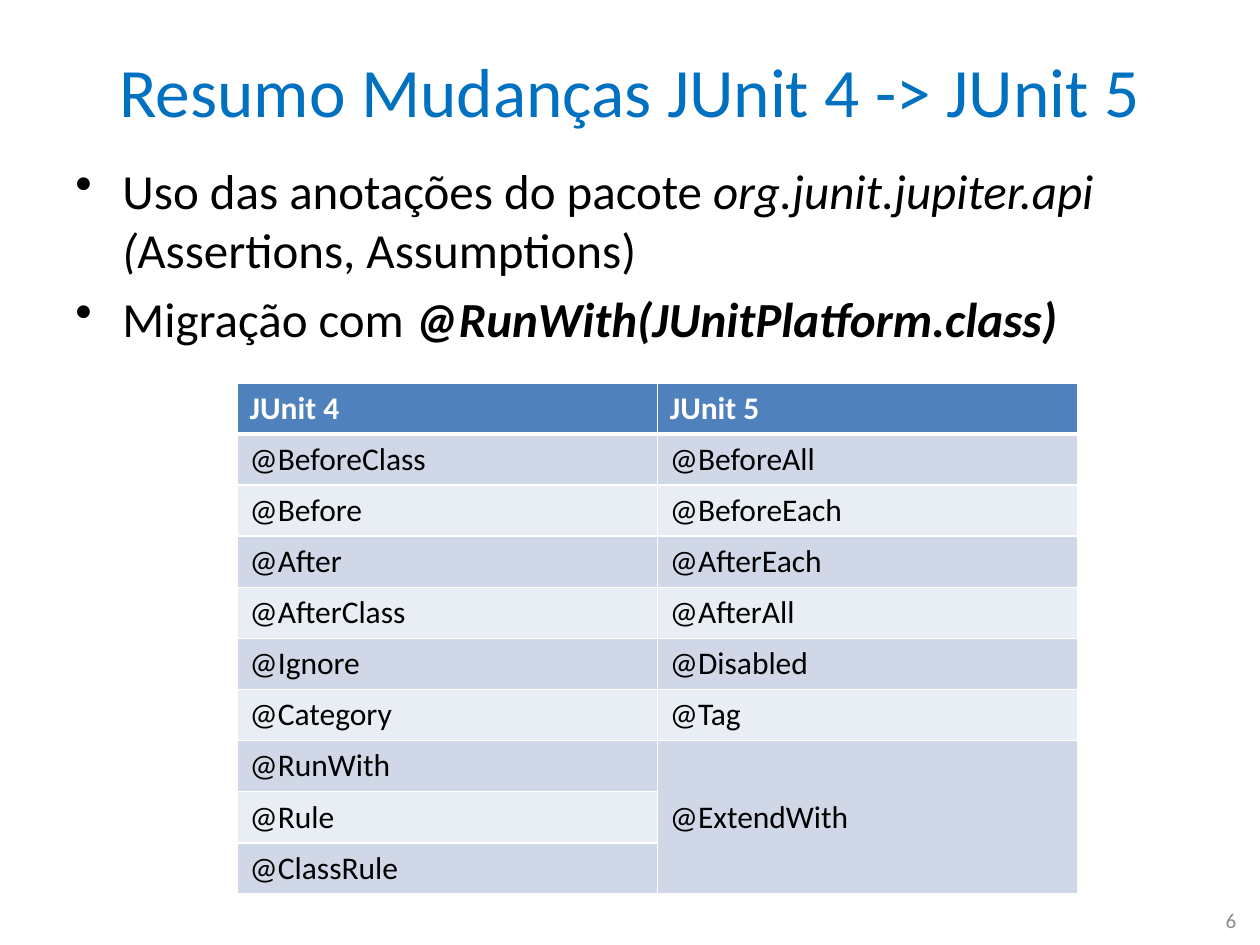
import lxml.etree
import pptx
import pptx.dml.color
import pptx.enum.text
import pptx.oxml.ns
import pptx.util

Cm, Pt = pptx.util.Cm, pptx.util.Pt
ALIGN = pptx.enum.text.PP_ALIGN
ANCHOR = pptx.enum.text.MSO_ANCHOR
qn = pptx.oxml.ns.qn


def rgb(value):
    return pptx.dml.color.RGBColor.from_string(value)


class SlideBuilder:
    """Holds the style and the current slide, and adds elements to it."""

    FONT = "Calibri"
    BLACK, WHITE, BLUE, GREY = "000000", "FFFFFF", "0070C0", "8C8C8C"
    HEADER, BANDS = "4F81BD", ("E9EDF4", "D0D8E8")

    def __init__(self, prs):
        self.s = prs.slides.add_slide(prs.slide_layouts[6])

    def style(self, p, size, color, bold=None):
        p.font.name = self.FONT
        p.font.size = Pt(size)
        p.font.color.rgb = rgb(color)
        p.font.bold = bold

    def box(self, x, y, w, h, anchor):
        tf = self.s.shapes.add_textbox(Cm(x), Cm(y), Cm(w), Cm(h)).text_frame
        tf.word_wrap = True
        tf.vertical_anchor = anchor
        return tf

    def text(self, text, x, y, w, h, size, color, align):
        p = self.box(x, y, w, h, ANCHOR.MIDDLE).paragraphs[0]
        p.text = text
        p.alignment = align
        self.style(p, size, color)

    def bullets(self, items, x, y, w, h, size, indent):
        tf = self.box(x, y, w, h, ANCHOR.TOP)
        for i, runs in enumerate(items):
            p = tf.add_paragraph() if i else tf.paragraphs[0]
            p.space_before = Pt(size * 0.2)
            self.style(p, size, self.BLACK)
            pPr = p._p.get_or_add_pPr()
            pPr.set("marL", str(Cm(indent)))
            pPr.set("indent", str(-Cm(indent)))
            bullet = lxml.etree.Element(qn("a:buChar"), char="•")
            pPr.find(qn("a:defRPr")).addprevious(bullet)
            for text, bold, italic in runs:
                r = p.add_run()
                r.text = text
                r.font.bold = bold
                r.font.italic = italic

    def borders(self, cell, widths):
        tcPr = cell._tc.get_or_add_tcPr()
        for side, width in zip("LRTB", widths):
            ln = lxml.etree.SubElement(tcPr, qn(f"a:ln{side}"), w=str(Pt(width)))
            fill = lxml.etree.SubElement(ln, qn("a:solidFill"))
            lxml.etree.SubElement(fill, qn("a:srgbClr"), val=self.WHITE)

    def table(self, rows, x, y, col_width, row_height, size):
        n, m = len(rows), len(rows[0])
        table = self.s.shapes.add_table(
            n, m, Cm(x), Cm(y), Cm(col_width * m), Cm(row_height * n)).table
        for i, row in enumerate(rows):
            table.rows[i].height = Cm(row_height)
            for j, text in enumerate(row):
                cell = table.cell(i, j)
                self.borders(cell, (1, 1, 3 if i == 1 else 1, 3 if i == 0 else 1))
                cell.fill.solid()
                cell.fill.fore_color.rgb = rgb(self.BANDS[i % 2] if i else self.HEADER)
                p = cell.text_frame.paragraphs[0]
                p.text = text
                self.style(p, size, self.BLACK if i else self.WHITE, i == 0)
        return table


prs = pptx.Presentation()
prs.slide_width, prs.slide_height = Cm(25.4), Cm(19.05)
slide = SlideBuilder(prs)

slide.text("6", 19.25, 18.03, 5.92, 1.02, 12, slide.GREY, ALIGN.RIGHT)
slide.text("Resumo Mudanças JUnit 4 -> JUnit 5", 1.27, 0.64, 22.86, 2.34,
           39.6, slide.BLUE, ALIGN.CENTER)
slide.bullets([
    [("Uso das anotações do pacote ", False, False),
     ("org.junit.jupiter.api (", False, True),
     ("Assertions, Assumptions)", False, False)],
    [("Migração com ", False, False),
     ("@RunWith(JUnitPlatform.class)", True, True)],
], 1.27, 3.12, 22.86, 15.14, 28, 0.95)

annotations = [
    ("JUnit 4", "JUnit 5"),
    ("@BeforeClass", "@BeforeAll"),
    ("@Before", "@BeforeEach"),
    ("@After", "@AfterEach"),
    ("@AfterClass", "@AfterAll"),
    ("@Ignore", "@Disabled"),
    ("@Category", "@Tag"),
    ("@RunWith", "@ExtendWith"),
    ("@Rule", ""),
    ("@ClassRule", ""),
]
table = slide.table(annotations, 4.78, 7.72, 8.47, 1.03, 18)
extension = table.cell(7, 1)
extension.merge(table.cell(9, 1))
extension.vertical_anchor = ANCHOR.MIDDLE

prs.save("out.pptx")
